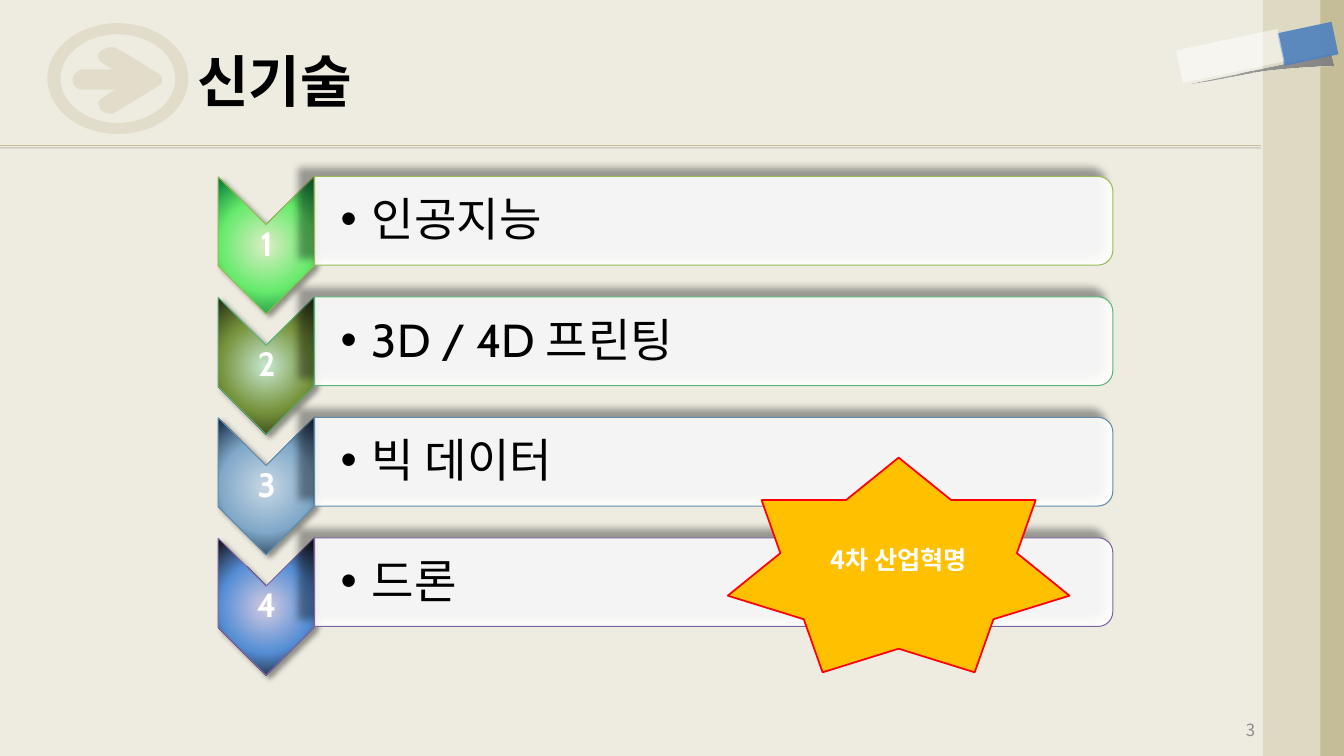
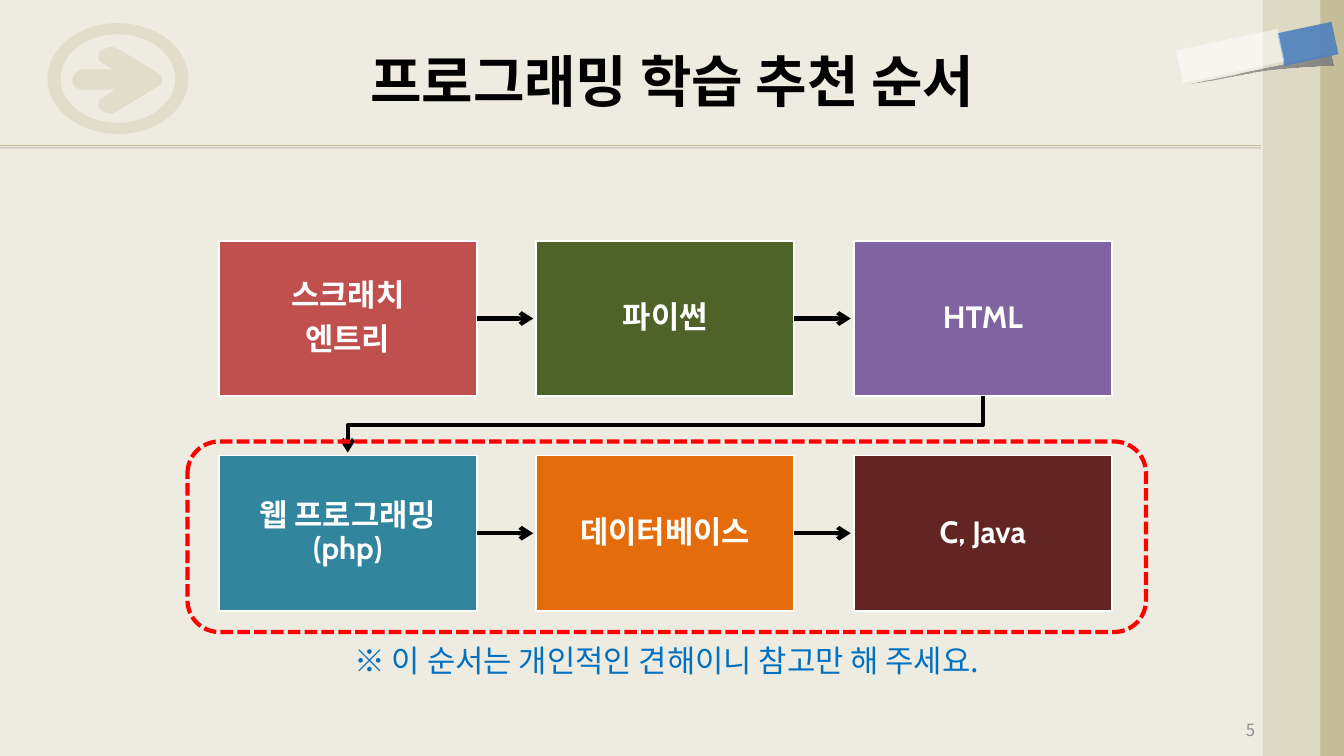
from lxml import etree
from pptx import Presentation
from pptx.dml.color import RGBColor as RGB
from pptx.enum.dml import MSO_LINE
from pptx.enum.shapes import MSO_CONNECTOR as Link, MSO_SHAPE as Kind
from pptx.enum.text import MSO_ANCHOR as Anchor, PP_ALIGN as Align
from pptx.oxml import parse_xml
from pptx.oxml.ns import qn
from pptx.util import Inches, Pt

# Look shared by the slides
CREAM, SAND, TAN = RGB(0xEE, 0xEC, 0xE1), RGB(0xDD, 0xD9, 0xC3), RGB(0xC4, 0xBD, 0x97)
WHITE, BLACK, GREY = RGB(255, 255, 255), RGB(0, 0, 0), RGB(0x8C, 0x8C, 0x8C)
BLUE, RED, GOLD = RGB(0x4F, 0x81, 0xBD), RGB(255, 0, 0), RGB(0xFF, 0xC0, 0)
NOTE = RGB(0, 0x70, 0xC0)
SANS, CABIN = "Noto Sans CJK KR", "Cabin"
NS = 'xmlns:a="http://schemas.openxmlformats.org/drawingml/2006/main"'

# Content: label, edge colour, gradient from centre to rim
TECHS = [
    ("인공지능", "9BBB59", ("DDEDC6", "67EB6D", "007434")),
    ("3D / 4D 프린팅", "5CB37C", ("C7E9D1", "77933C", "212911")),
    ("빅 데이터", "608CAB", ("C9D8E5", "81A9C9", "0F243E")),
    ("드론", "8064A2", ("D4CBE2", "558ED5", "11090B")),
]
STEPS = [
    (["스크래치", "엔트리"], "C0504D"), (["파이썬"], "4F6228"), (["HTML"], "8064A2"),
    (["웹 프로그래밍(php)"], "31859C"), (["데이터베이스"], "E46C0A"), (["C, Java"], "632523"),
]

# Outlines: a start, then points (lines) or point triples (curves)
ARROW = [
    (1.57, 0.73), ((1.49, 0.68), (1.23, 0.51), (1.13, 0.47)),
    ((1.07, 0.46), (1.06, 0.48), (1.01, 0.5)), ((0.97, 0.52), (0.96, 0.57), (0.99, 0.61)),
    (1.12, 0.69), (0.81, 0.69), ((0.74, 0.71), (0.72, 0.76), (0.72, 0.79)),
    ((0.71, 0.83), (0.74, 0.88), (0.81, 0.89)), (1.14, 0.89), (0.99, 0.99),
    ((0.97, 1.02), (0.98, 1.07), (1, 1.09)), ((1.02, 1.11), (1.06, 1.13), (1.12, 1.13)),
    ((1.35, 0.99), (1.58, 0.85), (1.58, 0.85)), ((1.61, 0.82), (1.61, 0.81), (1.61, 0.79)),
    ((1.61, 0.77), (1.6, 0.75), (1.57, 0.73)),
]
SHADE = [
    (13.2, 0.53), (13.23, 0.65), ((12.38, 0.68), (12.2, 0.78), (11.8, 0.83)),
    ((12.27, 0.73), (12.73, 0.64), (13.2, 0.53)),
]


def oval(x, y, rx, ry):
    """Four curves around a centre."""
    kx, ky = 0.55 * rx, 0.55 * ry
    return [
        (x, y - ry),
        ((x + kx, y - ry), (x + rx, y - ky), (x + rx, y)),
        ((x + rx, y + ky), (x + kx, y + ry), (x, y + ry)),
        ((x - kx, y + ry), (x - rx, y + ky), (x - rx, y)),
        ((x - rx, y - ky), (x - kx, y - ry), (x, y - ry)),
    ]


def effects(shape, blur=0, dist=0, angle=0, alpha=0, grow=100):
    """Give the shape one outer shadow, or none when alpha is 0."""
    props = shape._element.spPr
    for old in props.findall(qn("a:effectLst")):
        props.remove(old)
    cast = "" if not alpha else (
        f'<a:outerShdw blurRad="{Pt(blur)}" dist="{Pt(dist)}" dir="{angle * 60000}" '
        f'sx="{grow * 1000}" sy="100000" algn="ctr" rotWithShape="0"><a:srgbClr val="000000">'
        f'<a:alpha val="{alpha * 1000}"/></a:srgbClr></a:outerShdw>')
    props.append(parse_xml(f"<a:effectLst {NS}>{cast}</a:effectLst>"))


def paint(shape, fill=None, alpha=100, edge=None, width=0.75):
    if fill is None:
        shape.fill.background()
    else:
        shape.fill.solid()
        shape.fill.fore_color.rgb = fill
        if alpha < 100:
            color = shape._element.spPr.find(qn("a:solidFill"))[0]
            etree.SubElement(color, qn("a:alpha")).set("val", str(alpha * 1000))
    if edge is None:
        shape.line.fill.background()
    else:
        shape.line.color.rgb = edge
        shape.line.width = Pt(width)
    shape.shadow.inherit = False
    return shape


def radial(shape, stops, focus):
    """Swap the fill for a round gradient of (place, colour, alpha) stops."""
    marks = "".join(
        f'<a:gs pos="{at * 1000}"><a:srgbClr val="{color}"><a:alpha val="{alpha * 1000}"/>'
        '</a:srgbClr></a:gs>' for at, color, alpha in stops)
    left, top, right, bottom = (side * 1000 for side in focus)
    old = shape._element.spPr.find(qn("a:solidFill"))
    old.getparent().replace(old, parse_xml(
        f'<a:gradFill {NS}><a:gsLst>{marks}</a:gsLst><a:path path="circle"><a:fillToRect '
        f'l="{left}" t="{top}" r="{right}" b="{bottom}"/></a:path></a:gradFill>'))


def block(slide, kind, x, y, w, h, turn=0, **look):
    shape = slide.shapes.add_shape(kind, Inches(x), Inches(y), Inches(w), Inches(h))
    shape.rotation = turn
    return paint(shape, **look)


def outline(slide, rings, closed=True, **look):
    """Draw rings of lines and curves as one freeform."""
    pen, sizes = None, []
    for ring in rings:
        home = [Inches(v) for v in ring[0]]
        if pen is None:
            pen = slide.shapes.build_freeform(*home)
        else:
            pen.move_to(*home)
        parts = [p if isinstance(p[0], tuple) else (p,) for p in ring[1:]]
        sizes += [len(part) for part in parts]
        pen.add_line_segments(
            [(Inches(x), Inches(y)) for part in parts for x, y in part], close=closed)
    shape = pen.convert_to_shape()
    # Join each run of three control points into one curve
    lines = iter(list(shape._element.iter(qn("a:lnTo"))))
    for size in sizes:
        group = [next(lines) for _ in range(size)]
        if size == 3:
            curve = etree.Element(qn("a:cubicBezTo"))
            group[0].addprevious(curve)
            for line in group:
                curve.append(line[0])
                line.getparent().remove(line)
    return paint(shape, **look)


def write(shape, lines, size, color, font=SANS, bold=False, align=Align.CENTER,
          anchor=Anchor.MIDDLE, inset=None, spacing=None, after=0, bullet=None, wrap=True):
    frame = shape.text_frame
    frame.word_wrap = wrap
    frame.vertical_anchor = anchor
    if inset:
        sides = [Inches(side) for side in inset]
        frame.margin_left, frame.margin_top, frame.margin_right, frame.margin_bottom = sides
    for i, line in enumerate(lines):
        para = frame.add_paragraph() if i else frame.paragraphs[0]
        para.text = line
        para.alignment = align
        para.space_after = Pt(after)
        if spacing:
            para.line_spacing = spacing
        props = para._p.get_or_add_pPr()
        if bullet:
            props.set("marL", str(Inches(bullet)))
            props.set("indent", str(-Inches(bullet)))
            etree.SubElement(props, qn("a:buFont")).set("typeface", "Arial")
            etree.SubElement(props, qn("a:buChar")).set("char", "•")
        face = para.font
        face.name, face.size, face.bold = font, Pt(size), bold
        face.color.rgb = color
        # Korean letters and the gaps between them
        east = etree.SubElement(props.find(qn("a:defRPr")), qn("a:ea"))
        east.set("typeface", SANS)


def label(slide, x, y, w, h, lines, size, color, **style):
    box = slide.shapes.add_textbox(Inches(x), Inches(y), Inches(w), Inches(h))
    write(box, lines, size, color, **style)


def arrow(shape):
    shape.line.color.rgb = BLACK
    shape.line.width = Pt(3)
    etree.SubElement(shape.line._get_or_add_ln(), qn("a:tailEnd")).set("type", "arrow")


def start(deck, number):
    """Add a slide with the shared background, badge, bands, tape and number."""
    slide = deck.slides.add_slide(deck.slide_layouts[6])
    slide.background.fill.solid()
    slide.background.fill.fore_color.rgb = CREAM
    rule = slide.shapes.add_connector(
        Link.STRAIGHT, 0, Inches(1.44), Inches(12.51), Inches(1.44))
    rule.line.color.rgb, rule.line.width = TAN, Pt(0.75)
    effects(rule, 0, 2, 90, 22)
    # Badge
    outline(slide, [ARROW], fill=TAN, alpha=30)
    outline(slide, [oval(1.17, 0.78, 0.7, 0.55), oval(1.17, 0.78, 0.57, 0.44)],
            fill=TAN, alpha=30)
    # Side bands
    block(slide, Kind.RECTANGLE, 12.55, 0, 0.79, 7.5, fill=TAN)
    block(slide, Kind.RECTANGLE, 12.53, 0, 0.57, 7.5, fill=SAND)
    # Tape
    shade = outline(slide, [SHADE], fill=GREY)
    radial(shade, [(0, "808080", 100), (100, "808080", 56)], (100, 100, 0, 0))
    block(slide, Kind.RECTANGLE, 12.81, 0.16, 0.33, 0.55, turn=78, fill=BLUE, alpha=90)
    block(slide, Kind.RECTANGLE, 12.04, 0.04, 0.33, 1.03, turn=78, fill=WHITE, alpha=50)
    label(slide, 9.44, 7.08, 3.11, 0.33, [str(number)], 12, GREY, align=Align.RIGHT)
    return slide


def title(slide, x, w, text, align):
    label(slide, x, 0.17, w, 1.25, [text], 40, BLACK, bold=True, align=align)


def tech_slide(deck):
    slide = start(deck, 3)
    pitch = 1.195
    for i, (name, edge, tones) in enumerate(TECHS):
        drop = i * pitch
        edge = RGB.from_string(edge)
        mark = block(slide, Kind.CHEVRON, 1.96, 1.96 + drop, 1.36, 0.95, turn=90,
                     fill=WHITE, edge=edge)
        radial(mark, [(at, tone, 100) for at, tone in zip((0, 55, 100), tones)], [50] * 4)
        effects(mark, 4, 3, 45, 40)
        label(slide, 2.17, 2.23 + drop, 0.95, 0.41, [str(i + 1)], 24, WHITE, font=CABIN,
              bold=True, inset=[0.02] * 4, spacing=0.9)
        bar = block(slide, Kind.ROUND_2_SAME_RECTANGLE, 6.64, -1.77 + drop, 0.88, 7.92,
                    turn=90, fill=WHITE, alpha=90, edge=edge)
        effects(bar, 5, 8.5, 225, 40, grow=101)
        label(slide, 3.12, 1.8 + drop, 7.88, 0.8, [name], 33, BLACK, font=CABIN,
              align=Align.LEFT, inset=(0.26, 0.02, 0.02, 0.02), spacing=0.9, bullet=0.31)
    title(slide, 1.86, 10.8, "신기술", Align.LEFT)
    star = block(slide, Kind.STAR_7_POINT, 7.22, 4.54, 3.39, 2.13,
                 fill=GOLD, edge=RED, width=1.25)
    write(star, ["4차 산업혁명"], 18, WHITE, bold=True)


def order_slide(deck):
    slide = start(deck, 5)
    left, top, wide, high, across, down = 2.17, 2.39, 2.56, 1.54, 3.15, 2.13
    gap = 0.03
    for i, (lines, fill) in enumerate(STEPS):
        row, col = divmod(i, 3)
        x, y = left + col * across, top + row * down
        box = block(slide, Kind.RECTANGLE, x, y, wide, high,
                    fill=RGB.from_string(fill), edge=WHITE, width=1.25)
        write(box, lines, 22, WHITE, font=CABIN, bold=True, inset=[0.17] * 4,
              spacing=0.9, after=7.7 if len(lines) > 1 else 0)
        if col < 2:
            mid = Inches(y + high / 2)
            link = slide.shapes.add_connector(
                Link.STRAIGHT, Inches(x + wide), mid, Inches(x + across - gap), mid)
            link.begin_connect(box, 3)
            arrow(link)
            effects(link)
    # Turn from the first row to the second
    first, last = left + wide / 2, left + 2 * across + wide / 2
    bend = top + high + 0.29
    turn = outline(slide, [[(last, top + high), (last, bend), (first, bend),
                            (first, top + down - gap)]], closed=False)
    arrow(turn)
    title(slide, 0.67, 12, "프로그래밍 학습 추천 순서", Align.CENTER)
    frame = block(slide, Kind.ROUNDED_RECTANGLE, 1.86, 4.38, 9.51, 1.89, edge=RED, width=3)
    frame.line.dash_style = MSO_LINE.SQUARE_DOT
    label(slide, 3.18, 6.32, 6.87, 0.47, ["※ 이 순서는 개인적인 견해이니 참고만 해 주세요."],
          22, NOTE, anchor=Anchor.TOP, wrap=False)


def main():
    deck = Presentation()
    deck.slide_width, deck.slide_height = Inches(40 / 3), Inches(7.5)
    tech_slide(deck)
    order_slide(deck)
    deck.save("out.pptx")


if __name__ == "__main__":
    main()
